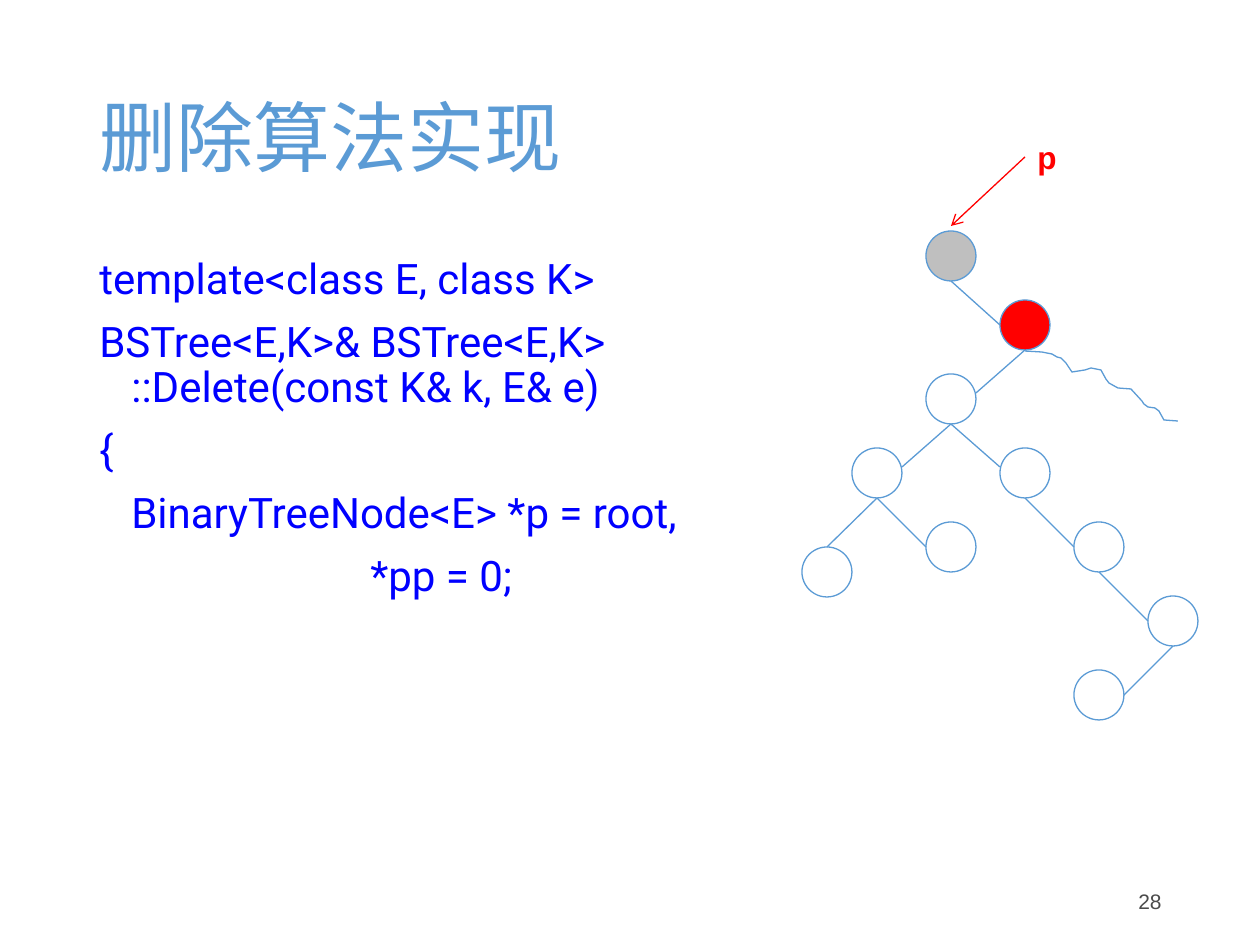
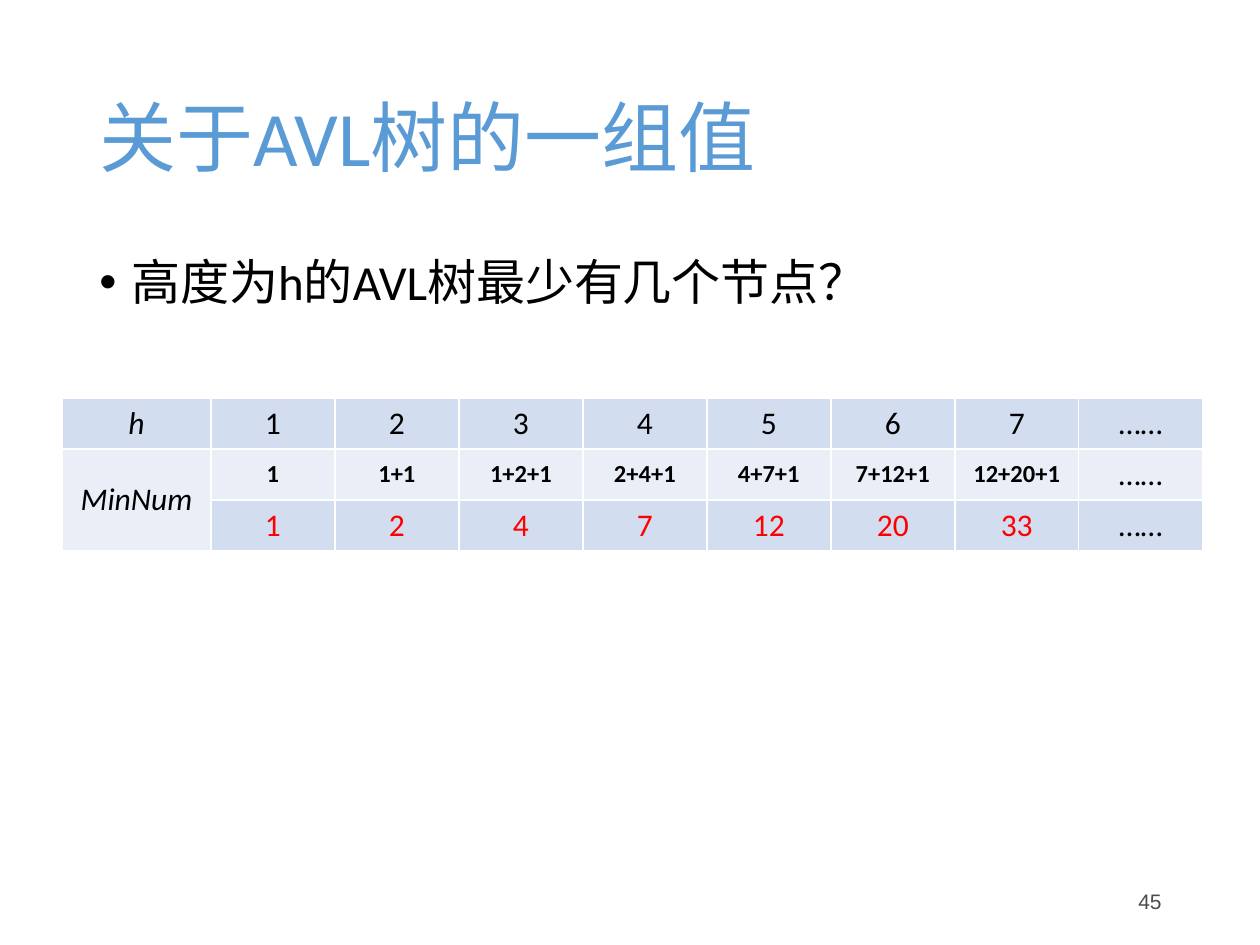
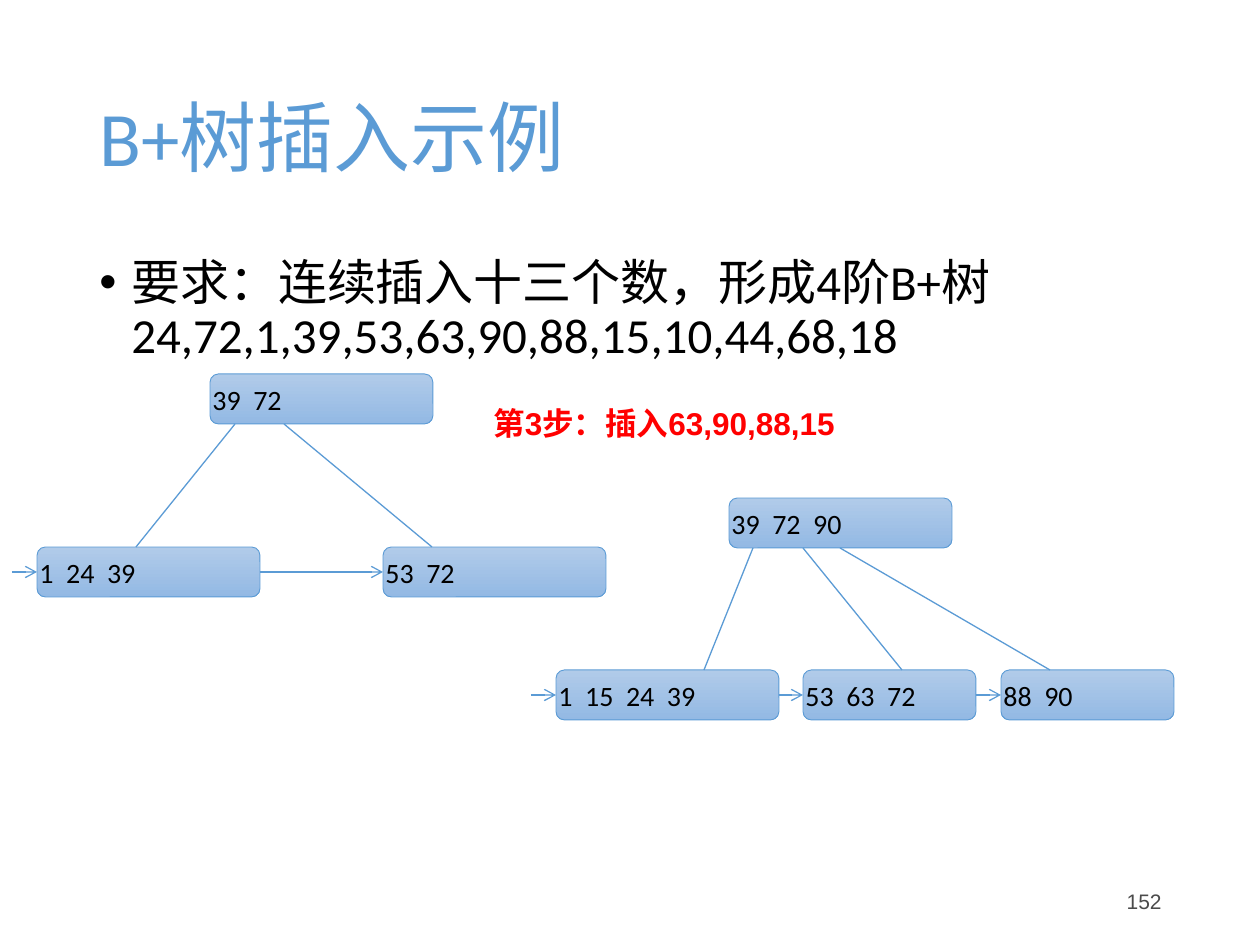
from lxml import etree
from pptx import Presentation
from pptx import util as u
from pptx.dml.color import RGBColor
from pptx.enum import lang, shapes, text
from pptx.oxml.ns import qn

PX = u.Inches(1) / 126
COLORS = {
    "blue": "5B9BD5", "red": "FF0000", "gray": "BFBFBF", "code": "0000FF",
    "black": "000000", "footer": "4B4B4B", "band_dark": "D2DEEF",
    "band_light": "EAEFF7", "box_top": "B1CBE9", "box_bottom": "93B9E4",
}
TITLE_BOX = (87, 50, 1086, 183)
BODY_BOX = (87, 252, 1086, 600)
NUMBER_BOX = (890, 876, 284, 50)
HANG = 32

CODE = [
    ("template<class E, class K>", HANG, -HANG),
    ("BSTree<E,K>& BSTree<E,K>\v::Delete(const K& k, E& e)", HANG, -HANG),
    ("{", HANG, -HANG),
    ("BinaryTreeNode<E> *p = root,", HANG, 0),
    ("*pp = 0;", 271, 0),
]

NODE = 50
NODES = {
    "root": (926, 231, "gray"), "deleted": (1000, 300, "red"),
    "left": (926, 374, None), "left_left": (852, 448, None),
    "left_right": (1000, 448, None), "leaf_low": (802, 547, None),
    "leaf_mid": (926, 522, None), "chain_1": (1074, 522, None),
    "chain_2": (1148, 596, None), "chain_leaf": (1074, 670, None),
}
SIDES = {"left": (0, 25), "right": (50, 25), "upper_left": (0, 19),
         "upper_right": (50, 19), "top": (25, 0)}
EDGES = [
    ("root", "deleted", "left"), ("deleted", "left", "upper_right"),
    ("left", "left_left", "upper_right"), ("left", "left_right", "upper_left"),
    ("left_left", "leaf_low", "top"), ("left_left", "leaf_mid", "left"),
    ("left_right", "chain_1", "left"), ("chain_1", "chain_2", "left"),
    ("chain_2", "chain_leaf", "right"),
]
SUBTREE_CURVE = [
    (1025, 351), (1042, 352), (1052, 354), (1057, 357), (1061, 358), (1066, 363),
    (1072, 372), (1085, 370), (1091, 368), (1101, 370), (1106, 379), (1109, 383),
    (1118, 388), (1131, 389), (1142, 401), (1144, 404), (1148, 407), (1155, 408),
    (1159, 411), (1164, 420), (1178, 421),
]

AVL_ROWS = [
    ["h", "1", "2", "3", "4", "5", "6", "7", "……"],
    ["MinNum", "1", "1+1", "1+2+1", "2+4+1", "4+7+1", "7+12+1", "12+20+1", "……"],
    ["", "1", "2", "4", "7", "12", "20", "33", "……"],
]
ROW_FORMATS = [
    {"fill": "band_dark"},
    {"fill": "band_light", "size": 14, "bold": True},
    {"fill": "band_dark", "color": "red"},
]
COLUMN_WIDTHS = [149] + [124] * 8
ROW_HEIGHT = 51

BOX_HEIGHT = 50
B_PLUS_TREES = [
    {"root": ((39, 72), 210, 374, 223), "leaf_top": 547,
     "leaves": [((1, 24, 39), 37, 223), ((53, 72), 383, 223)],
     "links": [(235, 136), (284, 432)]},
    {"root": ((39, 72, 90), 729, 498, 223), "leaf_top": 670,
     "leaves": [((1, 15, 24, 39), 556, 223), ((53, 63, 72), 803, 173),
                ((88, 90), 1001, 173)],
     "links": [(753, 704), (803, 902), (840, 1050)]},
]


def emu(*lengths):
    return [round(length * PX) for length in lengths]


def rgb(name):
    return RGBColor.from_string(COLORS[name])


def write_text(frame, content, size=18, font="Calibri", color="black", bold=False,
               italic=False, align=text.PP_ALIGN.LEFT, anchor=None,
               line_spacing=None, space_before=None, bullet=None):
    frame.word_wrap = True
    if anchor is not None:
        frame.vertical_anchor = anchor
    lines = [(content, 0, 0)] if isinstance(content, str) else content
    for index, (line, margin, indent) in enumerate(lines):
        paragraph = frame.add_paragraph() if index else frame.paragraphs[0]
        paragraph.text = line
        paragraph.alignment = align
        if line_spacing:
            paragraph.line_spacing = line_spacing
        if space_before:
            paragraph.space_before = u.Pt(space_before)
        properties = paragraph._p.get_or_add_pPr()
        margin_emu, indent_emu = emu(margin, indent)
        properties.set("marL", str(margin_emu))
        properties.set("indent", str(indent_emu))
        if bullet:
            etree.SubElement(properties, qn("a:buFont")).set("typeface", "Arial")
            etree.SubElement(properties, qn("a:buChar")).set("char", bullet)
        for run in paragraph.runs:
            run.font.size = u.Pt(size)
            run.font.name = font
            run.font.bold = bold
            run.font.italic = italic
            run.font.color.rgb = rgb(color)
            run.font.language_id = lang.MSO_LANGUAGE_ID.SIMPLIFIED_CHINESE


def add_text(slide, box, content, **formats):
    write_text(slide.shapes.add_textbox(*emu(*box)).text_frame, content, **formats)


def add_body(slide, content, **formats):
    add_text(slide, BODY_BOX, content, line_spacing=0.9, space_before=10, **formats)


def add_bullet(slide, line):
    add_body(slide, [(line, HANG, -HANG)], size=28, bullet="•")


def outline(shape, color="blue", width=0.75):
    shape.line.color.rgb = rgb(color)
    shape.line.width = u.Pt(width)


def add_line(slide, start, end, color="blue", arrow=False):
    line = slide.shapes.add_connector(
        shapes.MSO_CONNECTOR.STRAIGHT, *emu(*start, *end))
    outline(line, color)
    properties = line.element.spPr
    if arrow:
        etree.SubElement(properties.find(qn("a:ln")), qn("a:tailEnd")).set("type", "arrow")
    etree.SubElement(properties, qn("a:effectLst"))
    return line


def add_slide(presentation, title, number):
    slide = presentation.slides.add_slide(presentation.slide_layouts[6])
    middle = text.MSO_ANCHOR.MIDDLE
    add_text(slide, TITLE_BOX, title, size=44, color="blue", anchor=middle,
             line_spacing=0.9)
    add_text(slide, NUMBER_BOX, str(number), size=12, font="Arial", color="footer",
             align=text.PP_ALIGN.RIGHT, anchor=middle)
    return slide


def add_tree_node(slide, left, top, fill):
    node = slide.shapes.add_shape(shapes.MSO_SHAPE.OVAL, *emu(left, top, NODE, NODE))
    node.shadow.inherit = False
    outline(node)
    if fill:
        node.fill.solid()
        node.fill.fore_color.rgb = rgb(fill)
    else:
        node.fill.background()


def build_delete_slide(presentation):
    slide = add_slide(presentation, "删除算法实现", 28)
    add_body(slide, CODE, size=24, font="Roboto", color="code")
    for node in NODES.values():
        add_tree_node(slide, *node)
    for parent, child, side in EDGES:
        parent_left, parent_top, _ = NODES[parent]
        child_left, child_top, _ = NODES[child]
        across, down = SIDES[side]
        add_line(slide, (parent_left + NODE / 2, parent_top + NODE),
                 (child_left + across, child_top + down))
    builder = slide.shapes.build_freeform(*SUBTREE_CURVE[0], scale=PX)
    builder.add_line_segments(SUBTREE_CURVE[1:], close=False)
    subtree = builder.convert_to_shape()
    subtree.shadow.inherit = False
    subtree.fill.background()
    outline(subtree)
    add_line(slide, (1025, 157), (951, 226), color="red", arrow=True)
    add_text(slide, (1025, 132, 74, 50), "p", font="Arial", color="red", bold=True)


def build_avl_slide(presentation):
    slide = add_slide(presentation, "关于AVL树的一组值", 45)
    add_bullet(slide, "高度为h的AVL树最少有几个节点？")
    frame = slide.shapes.add_table(
        len(AVL_ROWS), len(COLUMN_WIDTHS),
        *emu(62, 398, sum(COLUMN_WIDTHS), ROW_HEIGHT * len(AVL_ROWS)))
    table = frame.table
    table.first_row = False
    for column, width in zip(table.columns, COLUMN_WIDTHS):
        column.width = emu(width)[0]
    for row_index, (values, row_format) in enumerate(zip(AVL_ROWS, ROW_FORMATS)):
        table.rows[row_index].height = emu(ROW_HEIGHT)[0]
        formats = dict(row_format)
        fill = formats.pop("fill")
        for column_index, value in enumerate(values):
            cell = table.cell(row_index, column_index)
            cell.fill.solid()
            cell.fill.fore_color.rgb = rgb(fill)
            cell.vertical_anchor = text.MSO_ANCHOR.MIDDLE
            plain = column_index == 0 or value == "……"
            write_text(cell.text_frame, value, italic=column_index == 0,
                       align=text.PP_ALIGN.CENTER, **({} if plain else formats))
    table.cell(1, 0).merge(table.cell(2, 0))


def add_key_box(slide, keys, left, top, width):
    box = slide.shapes.add_shape(
        shapes.MSO_SHAPE.ROUNDED_RECTANGLE, *emu(left, top, width, BOX_HEIGHT))
    box.shadow.inherit = False
    outline(box, width=0.5)
    box.fill.gradient()
    box.fill.gradient_angle = 270
    for stop, position, color in zip(
            box.fill.gradient_stops, (0, 1), ("box_top", "box_bottom")):
        stop.position = position
        stop.color.rgb = rgb(color)
    frame = box.text_frame
    frame.margin_left = frame.margin_top = frame.margin_bottom = 0
    frame.margin_right = u.Inches(0.2)
    write_text(frame, "  ".join(map(str, keys)), size=16,
               anchor=text.MSO_ANCHOR.MIDDLE)
    return box


def add_b_plus_tree(slide, tree):
    add_key_box(slide, *tree["root"])
    root_bottom = tree["root"][2] + BOX_HEIGHT
    leaf_top = tree["leaf_top"]
    arrow_y = leaf_top + BOX_HEIGHT / 2
    previous, arrow_start = None, tree["leaves"][0][1] - 25
    for keys, left, width in tree["leaves"]:
        leaf = add_key_box(slide, keys, left, leaf_top, width)
        arrow = add_line(slide, (arrow_start, arrow_y), (left, arrow_y), arrow=True)
        if previous:
            arrow.begin_connect(previous, 3)
        arrow.end_connect(leaf, 1)
        previous, arrow_start = leaf, left + width
    for start, end in tree["links"]:
        add_line(slide, (start, root_bottom), (end, leaf_top))


def build_b_plus_slide(presentation):
    slide = add_slide(presentation, "B+树插入示例", 152)
    add_bullet(slide, "要求：连续插入十三个数，形成4阶B+树"
                      "24,72,1,39,53,63,90,88,15,10,44,68,18")
    add_text(slide, (481, 398, 470, 50), "第3步：插入63,90,88,15",
             font="Arial", color="red", bold=True)
    for tree in B_PLUS_TREES:
        add_b_plus_tree(slide, tree)


def main():
    presentation = Presentation()
    presentation.slide_width, presentation.slide_height = emu(1260, 945)
    build_delete_slide(presentation)
    build_avl_slide(presentation)
    build_b_plus_slide(presentation)
    presentation.save("out.pptx")


if __name__ == "__main__":
    main()
